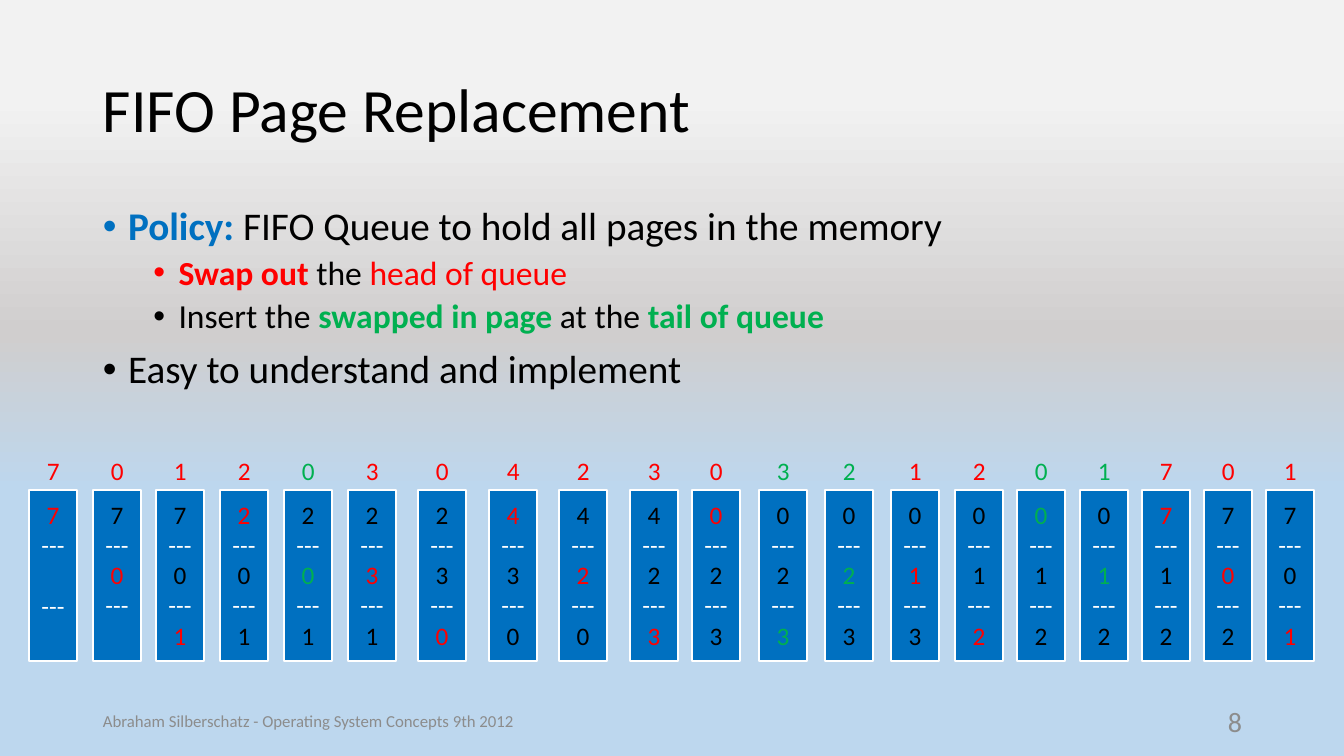
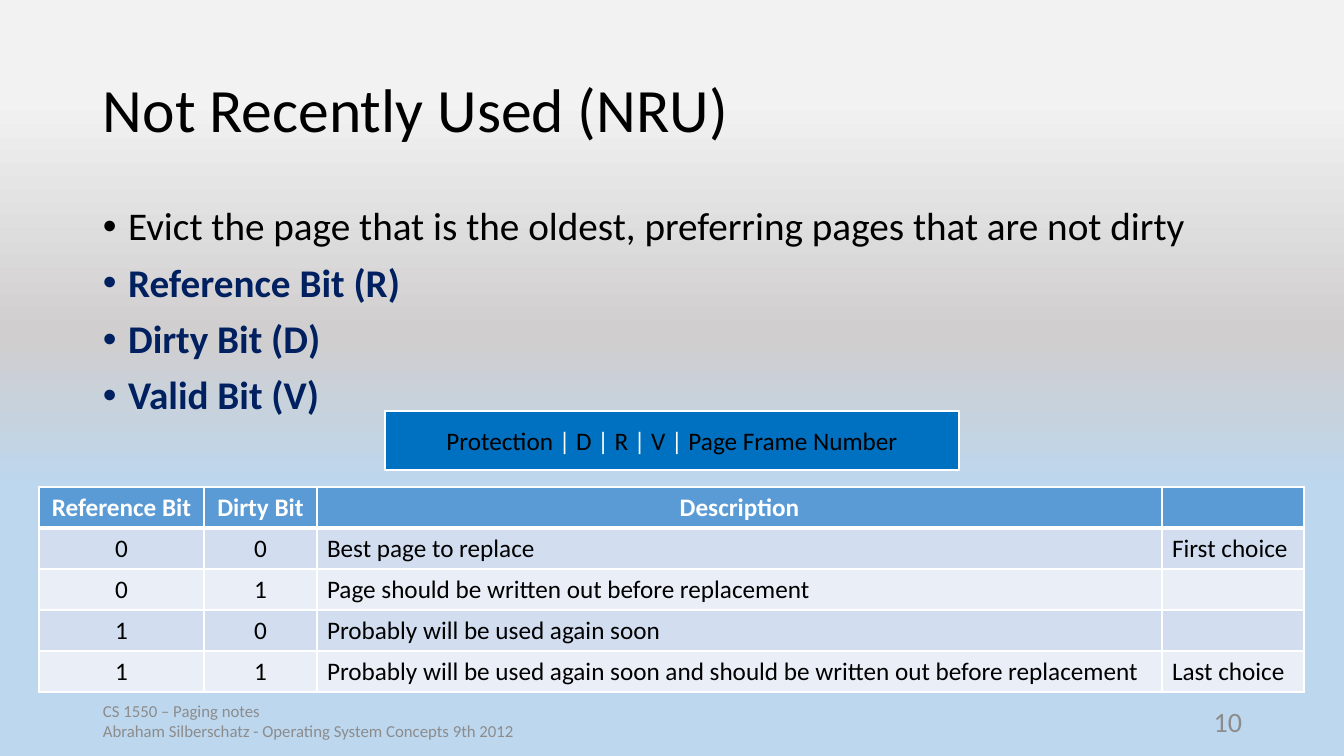
from lxml import etree
from pptx import Presentation
from pptx.dml.color import RGBColor
from pptx.enum.shapes import MSO_SHAPE
from pptx.enum.text import MSO_ANCHOR, PP_ALIGN
from pptx.oxml.ns import qn
from pptx.util import Emu, Pt

LEFT, CENTER, RIGHT = PP_ALIGN.LEFT, PP_ALIGN.CENTER, PP_ALIGN.RIGHT
TOP, MIDDLE = MSO_ANCHOR.TOP, MSO_ANCHOR.MIDDLE
RECTANGLE = MSO_SHAPE.RECTANGLE

EMU_PER_PIXEL = 914400 / 100.8
FONT = "Calibri"
COLORS = {
    "black": "000000", "white": "FFFFFF", "grey": "8C8C8C",
    "blue": "0070C0", "navy": "002060", "red": "FF0000", "green": "00B050",
    "header": "5B9BD5", "band_dark": "D2DEEF", "band_light": "EAEFF7",
}
BACKGROUND_STOPS = [(13, "F2F2F2"), (44, "D0CECE"), (65, "BDD7EE"), (80, "BDD7EE")]
SOURCE_NOTE = "Abraham Silberschatz - Operating System Concepts 9th 2012"


def px(length):
    """Turn picture pixels into EMU."""
    return Emu(round(length * EMU_PER_PIXEL))


def rgb(name):
    """Look up a named colour."""
    return RGBColor.from_string(COLORS[name])


def assign(target, values):
    """Set each attribute of target from a dict of format values."""
    for name, value in values.items():
        setattr(target, name, value)


def add_xml(parent, tag, **attributes):
    """Append a child element with the given attributes."""
    return etree.SubElement(parent, qn(tag), attributes)


class SlideBuilder:
    """Holds the shared style and the slide being built."""

    def __init__(self):
        """Start the deck with its size and gradient background."""
        self.deck = Presentation()
        assign(self.deck, {"slide_width": px(1344), "slide_height": px(756)})
        self.page = None
        master = self.deck.slide_master
        fill = master.background.fill
        fill.gradient()
        fill.gradient_angle = 270
        stops = master.element.find(".//" + qn("a:gsLst"))
        for stop in list(stops):
            stops.remove(stop)
        for percent, color in BACKGROUND_STOPS:
            stop = add_xml(stops, "a:gs", pos=str(percent * 1000))
            add_xml(stop, "a:srgbClr", val=color)

    def new_page(self, title, number, footer):
        """Add a slide with its title, footer lines and number."""
        self.page = self.deck.slides.add_slide(self.deck.slide_layouts[6])
        self.text((93, 40, 1159, 146), [title], size=44, anchor=MIDDLE,
                  line_spacing=0.9)
        self.text((93, 701, 806, 40), footer, size=12, color="grey", anchor=MIDDLE)
        self.text((950, 701, 302, 40), [str(number)], size=20, color="grey",
                  anchor=MIDDLE, alignment=RIGHT)

    def fill_para(self, para, spans, size=18, color="black", bold=False, **layout):
        """Fill a paragraph with a string or (text, colour, bold) spans."""
        assign(para, layout)
        for text, span_color, span_bold in (
                [(spans, color, bold)] if isinstance(spans, str) else spans):
            span = para.add_run()
            span.text = text
            assign(span.font, {"name": FONT, "size": Pt(size), "bold": span_bold})
            span.font.color.rgb = rgb(span_color)

    def paragraphs(self, frame, count):
        """Yield the given number of paragraphs of a fresh text frame."""
        yield frame.paragraphs[0]
        for _ in range(count - 1):
            yield frame.add_paragraph()

    def text(self, area, lines, anchor=TOP, wrap=True, **style):
        """Add a text box with one paragraph per line."""
        frame = self.page.shapes.add_textbox(*map(px, area)).text_frame
        assign(frame, {"word_wrap": wrap, "vertical_anchor": anchor})
        for para, line in zip(self.paragraphs(frame, len(lines)), lines):
            self.fill_para(para, line, **style)

    def bullets(self, items):
        """Add the body list from (level, spans) items."""
        frame = self.page.shapes.add_textbox(*map(px, (93, 202, 1159, 480))).text_frame
        frame.word_wrap = True
        for para, (level, spans) in zip(self.paragraphs(frame, len(items)), items):
            self.fill_para(para, spans, size=28 - 4 * level, level=level,
                           line_spacing=0.9, space_before=Pt(10 - 5 * level))
            properties = para._p.get_or_add_pPr()
            properties.set("marL", str(228600 + 457200 * level))
            properties.set("indent", "-228600")
            add_xml(properties, "a:buFont", typeface="Arial")
            add_xml(properties, "a:buChar", char="•")

    def box(self, area):
        """Add a blue box with a white outline and return its text frame."""
        shape = self.page.shapes.add_shape(RECTANGLE, *map(px, area))
        shape.shadow.inherit = False
        shape.fill.solid()
        shape.fill.fore_color.rgb = rgb("blue")
        shape.line.color.rgb = rgb("white")
        shape.line.width = Pt(1)
        shape.text_frame.word_wrap = True
        return shape.text_frame

    def memory(self, left, request, frames, hit):
        """Draw the memory frames after a page request, under its label."""
        accent = "green" if hit else "red"
        self.text((left + 8, 450, 33, 40), [request], wrap=False, color=accent)
        lines = []
        gap = 0
        for index, number in enumerate(frames):
            if index:
                lines.append(("---", "white", gap))
            gap = 0 if number else 22
            if number:
                lines.append((number, accent if number == request else "black", 0))
        frame = self.box((left, 490, 48, 171))
        assign(frame, {"vertical_anchor": TOP, "margin_top": px(9)})
        for para, (text, color, space) in zip(
                self.paragraphs(frame, len(lines)), lines):
            self.fill_para(para, text, color=color, alignment=CENTER,
                           space_before=Pt(space))

    def table(self, left, top, widths, row_height, rows):
        """Add a banded table with a header row and white borders."""
        table = self.page.shapes.add_table(
            len(rows), len(widths), px(left), px(top),
            px(sum(widths)), px(row_height * len(rows))).table
        for column, width in zip(table.columns, widths):
            column.width = px(width)
        for row, texts in enumerate(rows):
            table.rows[row].height = px(row_height)
            band = ("band_light", "band_dark")[row % 2] if row else "header"
            for column, text in enumerate(texts):
                cell = table.cell(row, column)
                cell.fill.solid()
                cell.fill.fore_color.rgb = rgb(band)
                self.borders(cell, row)
                if text:
                    self.fill_para(
                        cell.text_frame.paragraphs[0], text,
                        color="black" if row else "white", bold=row == 0,
                        alignment=CENTER if row == 0 or column < 2 else LEFT)

    def borders(self, cell, row):
        """Give a cell white borders, thicker below the header."""
        properties = cell._tc.get_or_add_tcPr()
        for index, side in enumerate(("a:lnL", "a:lnR", "a:lnT", "a:lnB")):
            thick = (row, side) in ((0, "a:lnB"), (1, "a:lnT"))
            line = add_xml(properties, side, w=str(Pt(3 if thick else 1)))
            add_xml(add_xml(line, "a:solidFill"), "a:srgbClr", val=COLORS["white"])
            properties.insert(index, line)


def build_fifo(builder):
    """Build the FIFO slide, running the policy on the request string."""
    builder.new_page("FIFO Page Replacement", 8, [SOURCE_NOTE])
    builder.bullets([
        (0, [("Policy:", "blue", True),
             (" FIFO Queue to hold all pages in the memory", "black", False)]),
        (1, [("Swap out ", "red", True), ("the ", "black", False),
             ("head of queue", "red", False)]),
        (1, [("Insert the ", "black", False), ("swapped in page ", "green", True),
             ("at the ", "black", False), ("tail of queue ", "green", True)]),
        (0, "Easy to understand and implement"),
    ])
    lefts = [29, 93, 156, 220, 284, 348, 418, 489, 559, 630,
             692, 759, 825, 891, 955, 1017, 1080, 1142, 1204, 1266]
    frames = ["", "", ""]
    oldest = 0
    for left, request in zip(lefts, "70120304230321201701"):
        hit = request in frames
        if not hit:
            frames[oldest] = request
            oldest = (oldest + 1) % len(frames)
        builder.memory(left, request, frames, hit)


def build_nru(builder):
    """Build the NRU slide with its entry layout and choice table."""
    builder.new_page("Not Recently Used (NRU)", 10,
                     ["CS 1550 – Paging notes", SOURCE_NOTE])
    policy = "Evict the page that is the oldest, preferring pages that are not dirty"
    bits = ["Reference Bit (R)", "Dirty Bit (D)", "Valid Bit (V)"]
    builder.bullets([(0, policy.replace(" ", "\u00a0"))]
                    + [(0, [(bit, "navy", True)]) for bit in bits])
    builder.table(39, 487, [165, 113, 845, 142], 41, [
        ["Reference Bit", "Dirty Bit", "Description", ""],
        ["0", "0", "Best page to replace", "First choice"],
        ["0", "1", "Page should be written out before replacement", ""],
        ["1", "0", "Probably will be used again soon", ""],
        ["1", "1", "Probably will be used again soon and should be written out "
                   "before replacement ", "Last choice"],
    ])
    fields = ["Protection ", " D ", " R ", " V ", " Page Frame Number"]
    spans = [("|", "white", False)] * (2 * len(fields) - 1)
    spans[::2] = [(field, "black", False) for field in fields]
    entry = builder.box((385, 411, 574, 59))
    entry.vertical_anchor = MIDDLE
    builder.fill_para(entry.paragraphs[0], spans, alignment=CENTER)


builder = SlideBuilder()
build_fifo(builder)
build_nru(builder)
builder.deck.save("out.pptx")
